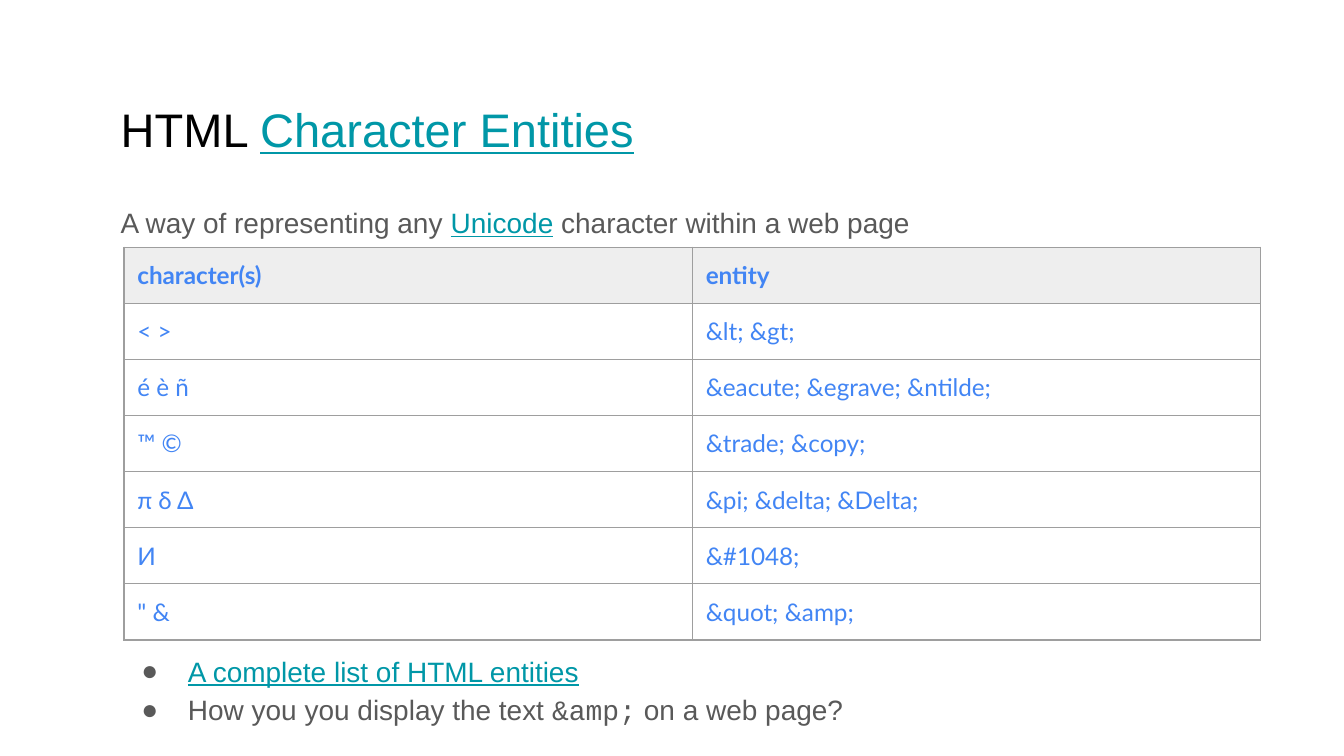
from dataclasses import dataclass

from lxml.etree import SubElement
from pptx import Presentation
from pptx.dml.color import RGBColor as RGB
from pptx.enum.text import MSO_ANCHOR as Anchor
from pptx.oxml.ns import qn
from pptx.util import Pt


@dataclass(frozen=True)
class Theme:
    black: str = "000000"
    text: str = "595959"
    link: str = "0097A7"
    cell: str = "4285F4"
    header: str = "EEEEEE"
    border: str = "9E9E9E"
    sans: str = "Arial"
    mono: str = "Courier New"
    table: str = "Lato"
    title_size: float = 25.2
    body_size: float = 15
    cell_size: float = 13
    inset: float = 7.2
    border_width: float = 0.75


@dataclass(frozen=True)
class Box:
    left: float
    top: float
    width: float
    height: float


@dataclass(frozen=True)
class Entity:
    characters: str
    code: str


THEME = Theme()
TITLE = Box(57.6, 46.8, 605.5, 42.5)
INTRO = Box(57.6, 100, 605.5, 42)
NOTES = Box(57.6, 340.5, 510.5, 54)
TABLE = Box(66.4, 132.5, 609, 210)
ENTITIES = [
    Entity("character(s)", "entity"),
    Entity("< >", "&lt; &gt;"),
    Entity("é è ñ", "&eacute; &egrave; &ntilde;"),
    Entity("™ ©", "&trade; &copy;"),
    Entity("π δ Δ", "&pi; &delta; &Delta;"),
    Entity("И", "&#1048;"),
    Entity('" &', "&quot; &amp;"),
]


def add_run(p, text: str, *, size: float = THEME.body_size, font: str = THEME.sans,
            color: str = THEME.text, bold: bool = False, underline: bool = False) -> None:
    r = p.add_run()
    r.text = text
    r.font.size = Pt(size)
    r.font.name = font
    r.font.color.rgb = RGB.from_string(color)
    r.font.bold = bold
    r.font.underline = underline


def add_link(p, text: str, size: float = THEME.body_size) -> None:
    """Add text that is styled as a link."""
    add_run(p, text, size=size, color=THEME.link, underline=True)


def set_insets(item) -> None:
    """Give a text frame or a cell equal margins on all sides."""
    item.margin_left = item.margin_right = Pt(THEME.inset)
    item.margin_top = item.margin_bottom = Pt(THEME.inset)


def add_text_box(s, box: Box):
    sp = s.shapes.add_textbox(Pt(box.left), Pt(box.top), Pt(box.width), Pt(box.height))
    tf = sp.text_frame
    tf.word_wrap = True
    tf.vertical_anchor = Anchor.TOP
    set_insets(tf)
    return tf


def set_bullet(p) -> None:
    pPr = p._p.get_or_add_pPr()
    pPr.set("marL", str(Pt(36)))
    pPr.set("indent", str(Pt(-25)))
    color = SubElement(pPr, qn("a:buClr"))
    SubElement(color, qn("a:srgbClr"), val=THEME.text)
    SubElement(pPr, qn("a:buFont"), typeface=THEME.sans)
    SubElement(pPr, qn("a:buChar"), char="●")


def set_borders(cell) -> None:
    tcPr = cell._tc.get_or_add_tcPr()
    for i, side in enumerate(("lnL", "lnR", "lnT", "lnB")):
        line = tcPr.makeelement(qn(f"a:{side}"), {"w": str(Pt(THEME.border_width))})
        fill = SubElement(line, qn("a:solidFill"))
        SubElement(fill, qn("a:srgbClr"), val=THEME.border)
        tcPr.insert(i, line)


def fill_cell(cell, text: str, is_header: bool) -> None:
    set_insets(cell)
    add_run(cell.text_frame.paragraphs[0], text, size=THEME.cell_size,
            font=THEME.table, color=THEME.cell, bold=is_header)
    if is_header:
        cell.fill.solid()
        cell.fill.fore_color.rgb = RGB.from_string(THEME.header)
    else:
        cell.fill.background()
    set_borders(cell)


def add_entity_table(s, box: Box, entities: list[Entity]) -> None:
    table = s.shapes.add_table(len(entities), 2, Pt(box.left), Pt(box.top),
                               Pt(box.width), Pt(box.height)).table
    table.horz_banding = False
    for i, entity in enumerate(entities):
        for j, text in enumerate((entity.characters, entity.code)):
            fill_cell(table.cell(i, j), text, is_header=i == 0)


def main() -> None:
    prs = Presentation()
    prs.slide_width, prs.slide_height = Pt(720), Pt(405)
    s = prs.slides.add_slide(prs.slide_layouts[6])

    p = add_text_box(s, TITLE).paragraphs[0]
    add_run(p, "HTML ", size=THEME.title_size, color=THEME.black)
    add_link(p, "Character Entities", THEME.title_size)

    p = add_text_box(s, INTRO).paragraphs[0]
    p.line_spacing = 1.15
    p.space_after = Pt(12)
    add_run(p, "A way of representing any ")
    add_link(p, "Unicode")
    add_run(p, " character within a web page")

    tf = add_text_box(s, NOTES)
    list_item, question = tf.paragraphs[0], tf.add_paragraph()
    for p in (list_item, question):
        set_bullet(p)
        p.line_spacing = 1.15
    add_link(list_item, "A complete list of HTML entities")
    add_run(question, "How you you display the text ")
    add_run(question, "&amp;", font=THEME.mono)
    add_run(question, " on a web page?")

    add_entity_table(s, TABLE, ENTITIES)
    prs.save("out.pptx")


if __name__ == "__main__":
    main()
